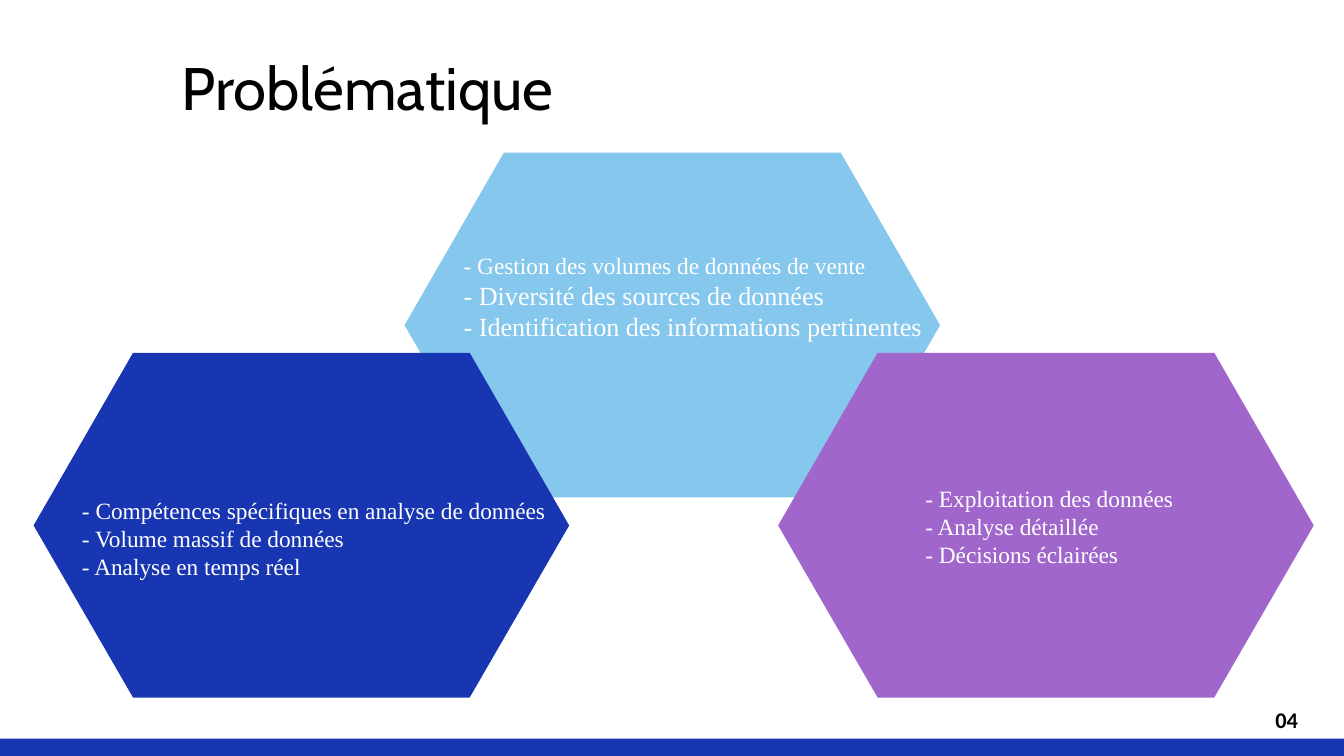
from dataclasses import dataclass

from lxml import etree
from pptx import Presentation
from pptx import util as u
from pptx.dml.color import RGBColor
from pptx.enum import shapes, text
from pptx.oxml.ns import qn

PX = 9144  # EMU per px, 100 px to the inch
WIDTH, HEIGHT = 2000, 1125
HEX_WIDTH, HEX_HEIGHT, HEX_INSET = 797, 513, 148

BLACK = RGBColor(0x00, 0x00, 0x00)
WHITE = RGBColor(0xFF, 0xFF, 0xFF)
SKY = RGBColor(0x86, 0xC7, 0xED)
BLUE = RGBColor(0x18, 0x36, 0xB2)
PURPLE = RGBColor(0xA0, 0x66, 0xCB)


@dataclass
class Topic:
    left: int
    top: int
    color: RGBColor
    text_area: tuple[int, int, int, int]
    lines: list[str]
    sizes: tuple[int, int, int] = (25, 25, 25)


TOPICS = [
    Topic(602, 227, SKY, (680, 369, 1000, 146),
          ["- Gestion des volumes de données de vente",
           "- Diversité des sources de données",
           "- Identification des informations pertinentes"], (25, 28, 28)),
    Topic(50, 525, BLUE, (112, 733, 1000, 136),
          ["- Compétences spécifiques en analyse de données",
           "- Volume massif de données",
           "- Analyse en temps réel"]),
    Topic(1158, 525, PURPLE, (1367, 715, 533, 136),
          ["- Exploitation des données",
           "- Analyse détaillée",
           "- Décisions éclairées"]),
]


def paint(shape, color: RGBColor) -> None:
    shape.shadow.inherit = False
    shape.fill.solid()
    shape.fill.fore_color.rgb = color
    shape.line.fill.background()


def draw_hexagon(page, topic: Topic) -> None:
    left, top = topic.left, topic.top
    right, bottom = left + HEX_WIDTH, top + HEX_HEIGHT
    middle = top + HEX_HEIGHT / 2
    builder = page.shapes.build_freeform(left + HEX_INSET, top, scale=PX)
    builder.add_line_segments([
        (right - HEX_INSET, top), (right, middle), (right - HEX_INSET, bottom),
        (left + HEX_INSET, bottom), (left, middle),
    ])
    paint(builder.convert_to_shape(), topic.color)


def write(box, area: tuple[int, int, int, int], lines: list[str], *,
          sizes: tuple[float, ...], font: str, color: RGBColor,
          bold: bool = False, spacing: float | None = None,
          margin: int | None = None) -> None:
    """Place a box on top of the page and fill it with plain left-aligned lines."""
    box.left, box.top, box.width, box.height = (n * PX for n in area)
    box.element.getparent().append(box.element)
    frame = box.text_frame
    frame.word_wrap = True
    frame.auto_size = text.MSO_AUTO_SIZE.SHAPE_TO_FIT_TEXT
    frame.vertical_anchor = text.MSO_ANCHOR.TOP
    if margin is not None:
        frame.margin_left = frame.margin_right = margin * PX
        frame.margin_top = frame.margin_bottom = margin * PX
    for index, (line, size) in enumerate(zip(lines, sizes)):
        para = frame.add_paragraph() if index else frame.paragraphs[0]
        para.alignment = text.PP_ALIGN.LEFT
        para.space_before = u.Pt(0)
        if spacing:
            para.line_spacing = u.Pt(spacing)
        # The dash is part of the wording, so no bullet or indent
        properties = para._p.get_or_add_pPr()
        properties.set("marL", "0")
        properties.set("indent", "0")
        etree.SubElement(properties, qn("a:buNone"))
        span = para.add_run()
        span.text = line
        span.font.name = font
        span.font.size = u.Pt(size)
        span.font.bold = bold
        span.font.color.rgb = color


def main() -> None:
    deck = Presentation()
    deck.slide_width, deck.slide_height = WIDTH * PX, HEIGHT * PX
    page = deck.slides.add_slide(deck.slide_layouts.get_by_name("Comparison"))
    title, *bodies = page.placeholders

    # Hexagons and bottom band
    for topic in TOPICS:
        draw_hexagon(page, topic)
    band = page.shapes.add_shape(shapes.MSO_SHAPE.RECTANGLE,
                                 0, 1099 * PX, WIDTH * PX, 26 * PX)
    paint(band, BLUE)

    # Title
    write(title, (270, 84, 821, 100), ["Problématique"], sizes=(64.2,),
          font="Cabin", color=BLACK, spacing=70.7, margin=0)

    # One list per hexagon
    for topic, body in zip(TOPICS, bodies):
        write(body, topic.text_area, topic.lines, sizes=topic.sizes,
              font="Times New Roman", color=WHITE)
    for spare in bodies[len(TOPICS):]:
        spare.element.getparent().remove(spare.element)

    # Page number
    write(page.shapes.add_textbox(0, 0, 0, 0), (1888, 1046, 101, 50), ["04"],
          sizes=(24,), font="Calibri", color=BLACK, bold=True)

    deck.save("out.pptx")


if __name__ == "__main__":
    main()
